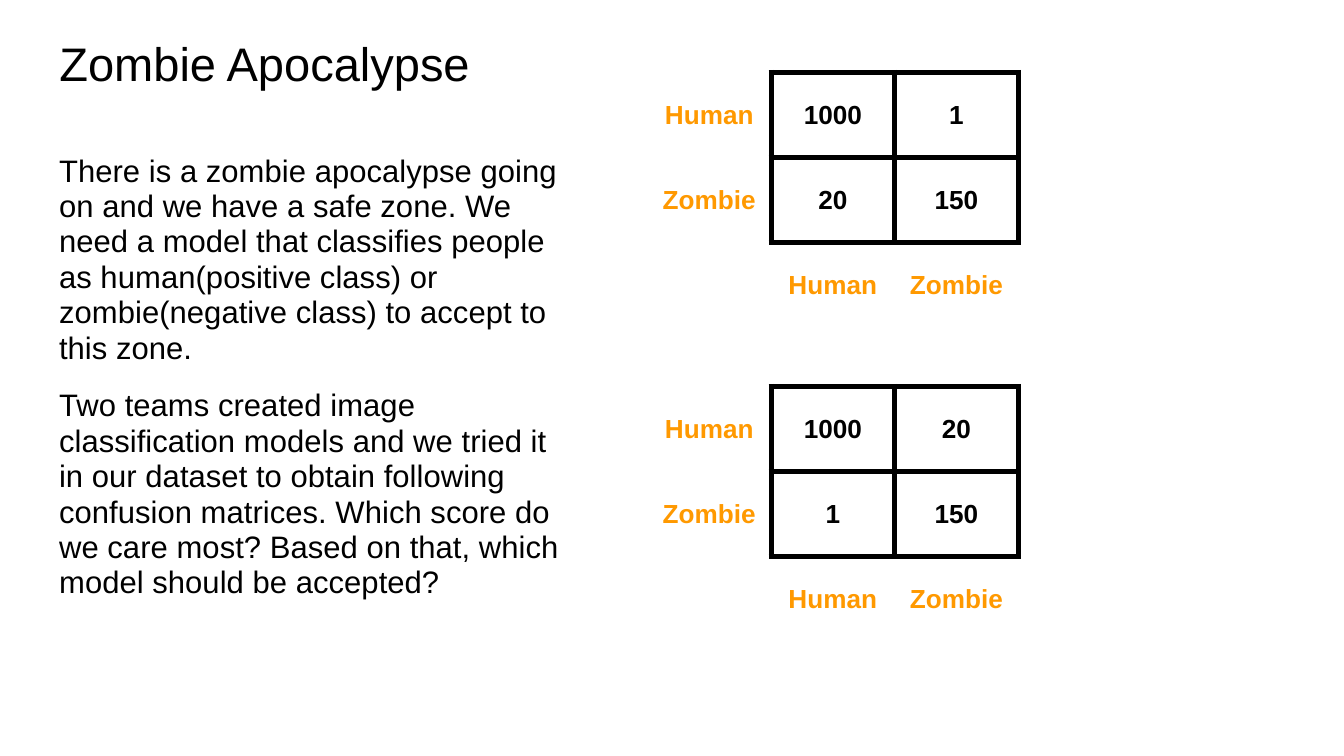
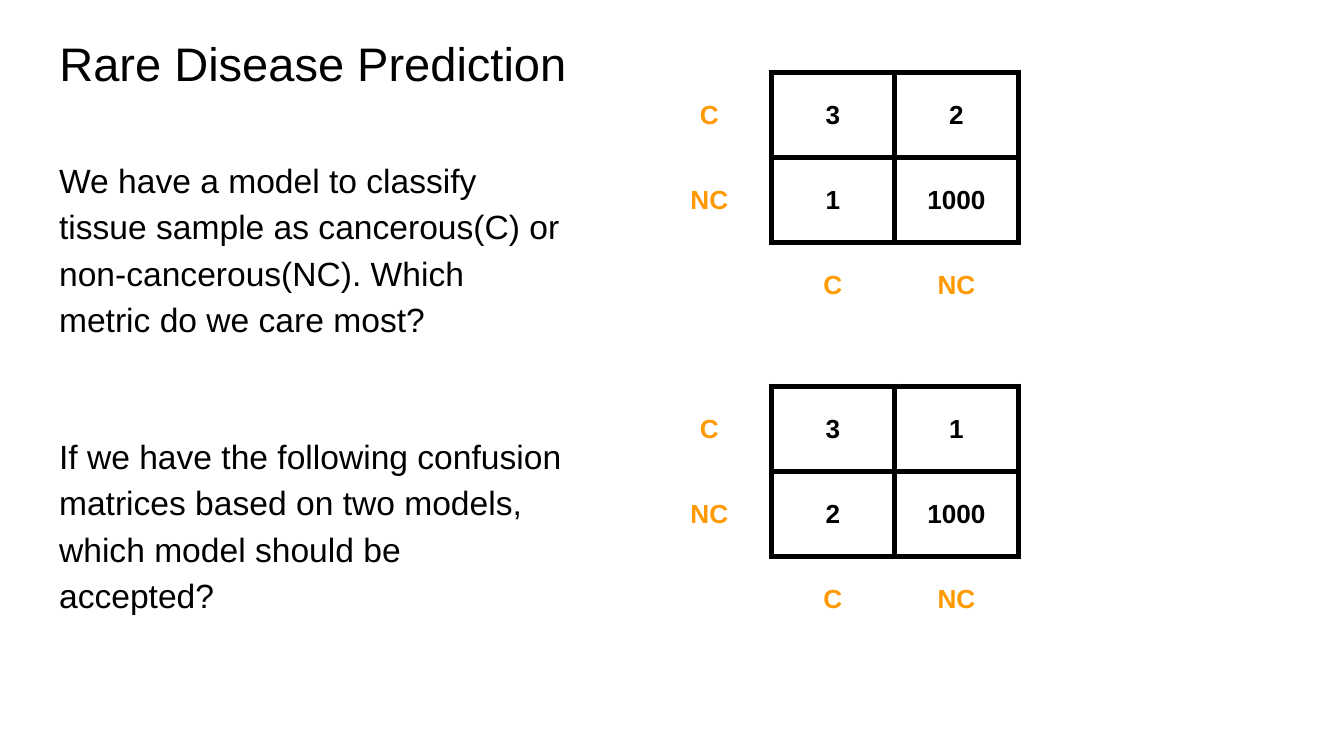
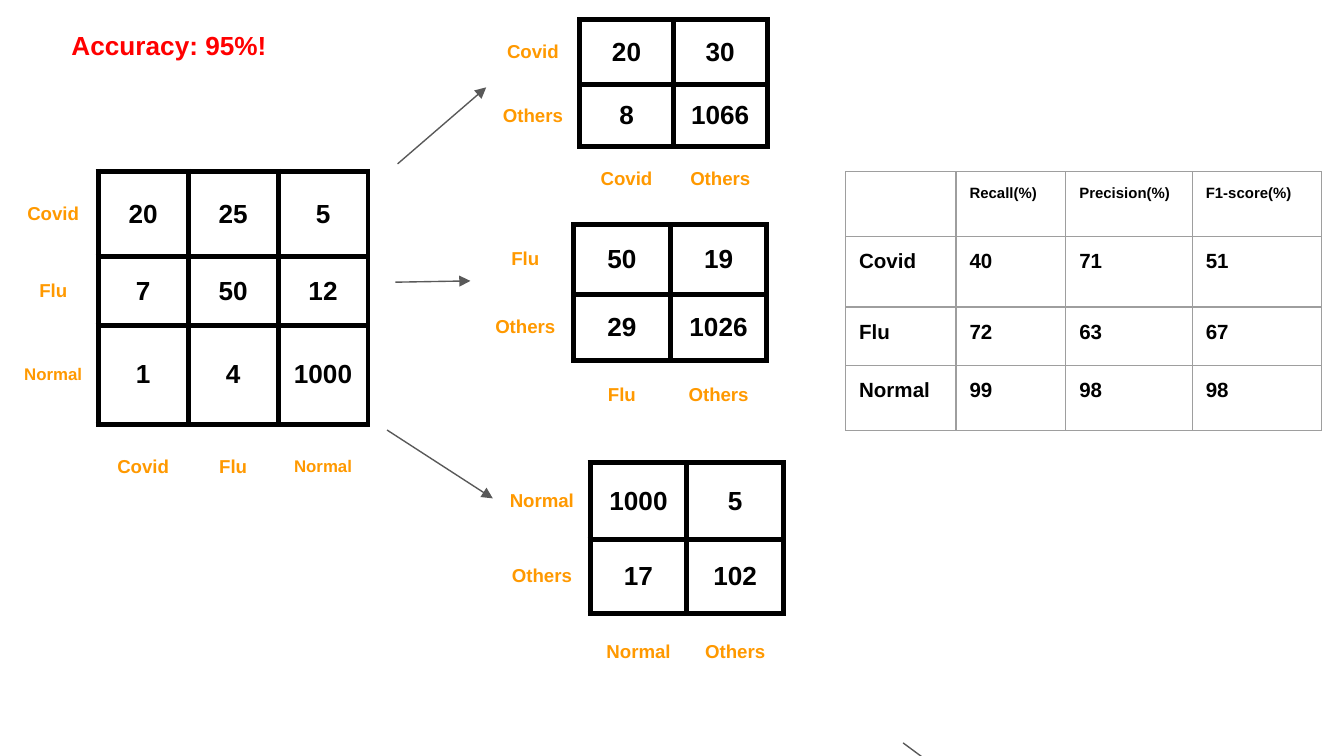
import pptx
import pptx.util
import pptx.dml.color
import pptx.enum.shapes
import pptx.enum.text
import pptx.oxml.ns
from lxml import etree

Pt = pptx.util.Pt
RGBColor = pptx.dml.color.RGBColor
ALIGN = pptx.enum.text.PP_ALIGN
ANCHOR = pptx.enum.text.MSO_ANCHOR
qn = pptx.oxml.ns.qn

BLACK = RGBColor(0x00, 0x00, 0x00)
ORANGE = RGBColor(0xFF, 0x99, 0x00)
RED = RGBColor(0xFF, 0x00, 0x00)
GREY = RGBColor(0x9E, 0x9E, 0x9E)
SLATE = RGBColor(0x59, 0x59, 0x59)
FONT = "Arial"
PAD = 7.2
FRAME = 236.2
TITLE_ONLY, BLANK = 5, 6


class Deck:
    def __init__(self):
        self.prs = pptx.Presentation()
        self.prs.slide_width = Pt(720)
        self.prs.slide_height = Pt(405)
        self.slide = None

    def start(self, title=None):
        kind = TITLE_ONLY if title else BLANK
        self.slide = self.prs.slides.add_slide(self.prs.slide_layouts[kind])
        if title:
            shape = self.slide.shapes.title
            shape.left, shape.top, shape.width, shape.height = map(Pt, (24.6, 11.2, 671, 45.4))
            self.fill_frame(shape.text_frame, [title], 25.2)

    def style(self, para, size, color=BLACK, bold=False, align=ALIGN.LEFT):
        para.alignment = align
        for run in para.runs:
            font = run.font
            font.name, font.size, font.bold = FONT, Pt(size), bold
            font.color.rgb = color

    def fill_frame(self, frame, texts, size, color=BLACK, bold=False, pitch=1.0, gap=0):
        frame.word_wrap = True
        frame.auto_size = pptx.enum.text.MSO_AUTO_SIZE.NONE
        frame.vertical_anchor = ANCHOR.TOP
        frame.margin_left = frame.margin_right = Pt(PAD)
        frame.margin_top = frame.margin_bottom = Pt(PAD)
        frame.text = "\n".join(texts)
        for rank, para in enumerate(frame.paragraphs):
            self.style(para, size, color, bold)
            para.line_spacing = pitch
            para.space_before = Pt(gap if rank else 0)

    def text(self, box, texts, size, **look):
        shape = self.slide.shapes.add_textbox(*map(Pt, box))
        self.fill_frame(shape.text_frame, texts, size, **look)

    def edge(self, cell, sides, color, width):
        props = cell._tc.get_or_add_tcPr()
        for side in "LRTB":
            line = etree.SubElement(props, qn("a:ln" + side), w=str(Pt(width)))
            if side in sides:
                fill = etree.SubElement(line, qn("a:solidFill"))
                etree.SubElement(fill, qn("a:srgbClr"), val=str(color))
            else:
                etree.SubElement(line, qn("a:noFill"))

    def grid(self, left, top, cols, rows):
        frame = self.slide.shapes.add_table(
            len(rows), len(cols), Pt(left), Pt(top), Pt(FRAME), Pt(FRAME))
        table = frame.table
        table.first_row = table.horz_banding = False
        for col, width in zip(table.columns, cols):
            col.width = Pt(width)
        for row, height in zip(table.rows, rows):
            row.height = Pt(height)
        frame.width = frame.height = Pt(FRAME)
        return table

    def cell(self, cell, text, size, sides, line, color=BLACK, align=ALIGN.LEFT, anchor=ANCHOR.TOP):
        self.edge(cell, sides, *line)
        cell.fill.background()
        cell.vertical_anchor = anchor
        cell.margin_left = cell.margin_right = Pt(PAD)
        cell.margin_top = cell.margin_bottom = Pt(PAD if text else 0)
        cell.text_frame.text = text
        self.style(cell.text_frame.paragraphs[0], size, color, True, align)

    def matrix(self, left, top, width, rows, names, counts, size=10, small=None):
        table = self.grid(left, top, [width] * (len(names) + 1), rows)
        data = [[name, *map(str, line)] for name, line in zip(names, counts)]
        data.append(["", *names])
        last = len(names)
        for y, line in enumerate(data):
            for x, text in enumerate(line):
                label = x == 0 or y == last
                if not label:
                    sides = "LRTB"
                elif y < last:
                    sides = "R"
                else:
                    sides = "T" if x else ""
                points = (small or {}).get(text, size) if label else 14
                self.cell(table.cell(y, x), text, points, sides, (BLACK, 3),
                          ORANGE if label else BLACK, ALIGN.CENTER, ANCHOR.MIDDLE)

    def scores(self, left, top, cols, rows, data):
        table = self.grid(left, top, cols, rows)
        for y, line in enumerate(data):
            for x, text in enumerate(line):
                self.cell(table.cell(y, x), text, 11 if y else 8, "LRTB", (GREY, 0.75))

    def arrow(self, *ends):
        line = self.slide.shapes.add_connector(
            pptx.enum.shapes.MSO_CONNECTOR.STRAIGHT, *map(Pt, ends))
        line.line.color.rgb = SLATE
        line.line.width = Pt(0.75)
        etree.SubElement(line.line._get_or_add_ln(), qn("a:tailEnd"), type="triangle")
        etree.SubElement(line._element.spPr, qn("a:effectLst"))


def compare(deck, title, texts, size, pitch, gap, names, models):
    deck.start(title)
    deck.text((24.6, 75.2, 285, 269), texts, size, pitch=pitch, gap=gap)
    for rank, counts in enumerate(models):
        deck.matrix(346.9, 38.8 + 168.2 * rank, 66.2, [45.6] * 3, names, counts, size=14)


def main():
    deck = Deck()
    compare(deck, "Zombie Apocalypse", [
        "There is a zombie apocalypse going on and we have a safe zone. We need a model that "
        "classifies people as human(positive class) or zombie(negative class) to accept to this zone.",
        "Two teams created image classification models and we tried it in our dataset to obtain "
        "following confusion matrices. Which score do we care most? Based on that, which model "
        "should be accepted?",
    ], 16.65, 0.95, 12, ["Human", "Zombie"],
        [[(1000, 1), (20, 150)], [(1000, 20), (1, 150)]])

    compare(deck, "Rare Disease Prediction", [
        "We have a model to classify tissue sample as cancerous(C) or non-cancerous(NC). "
        "Which metric do we care most?",
        "If we have the following confusion matrices based on two models, which model should be "
        "accepted?",
    ], 18, 1.15, 48.6, ["C", "NC"],
        [[(3, 2), (1, 1000)], [(3, 1), (2, 1000)]])

    deck.start()
    deck.matrix(4.4, 91.8, 48.2, [45.8, 36.6, 53.2, 45.8], ["Covid", "Flu", "Normal"],
                [(20, 25, 5), (7, 50, 12), (1, 4, 1000)], small={"Normal": 9})
    for left, top, width, tall, mid, name, counts in (
        (260.4, 10.6, 50.2, 34.7, 33.4, "Covid", [(20, 30), (8, 1066)]),
        (255.5, 120.4, 51.8, 37.2, 35.6, "Flu", [(50, 19), (29, 1026)]),
        (264.4, 247.8, 51.8, 41.2, 39.8, "Normal", [(1000, 5), (17, 102)]),
    ):
        deck.matrix(left, top, width, [tall, mid, tall], [name, "Others"], counts)
    for ends in ((213, 87.8, 260.5, 46.8), (483.8, 398, 536.4, 437)):
        deck.arrow(*ends)
    deck.scores(453, 92, [59.2, 58.8, 67.8, 69.4], [34.6, 37.9, 31.3, 34.8], [
        ["", "Recall(%)", "Precision(%)", "F1-score(%)"],
        ["Covid", "40", "71", "51"],
        ["Flu", "72", "63", "67"],
        ["Normal", "99", "98", "98"],
    ])
    deck.text((31.2, 8.6, 168, 31.7), ["Accuracy: 95%!"], 14, color=RED, bold=True)
    for ends in ((211.8, 151.2, 252, 150.5), (207.4, 230.4, 264, 267)):
        deck.arrow(*ends)
    deck.prs.save("out.pptx")


if __name__ == "__main__":
    main()
